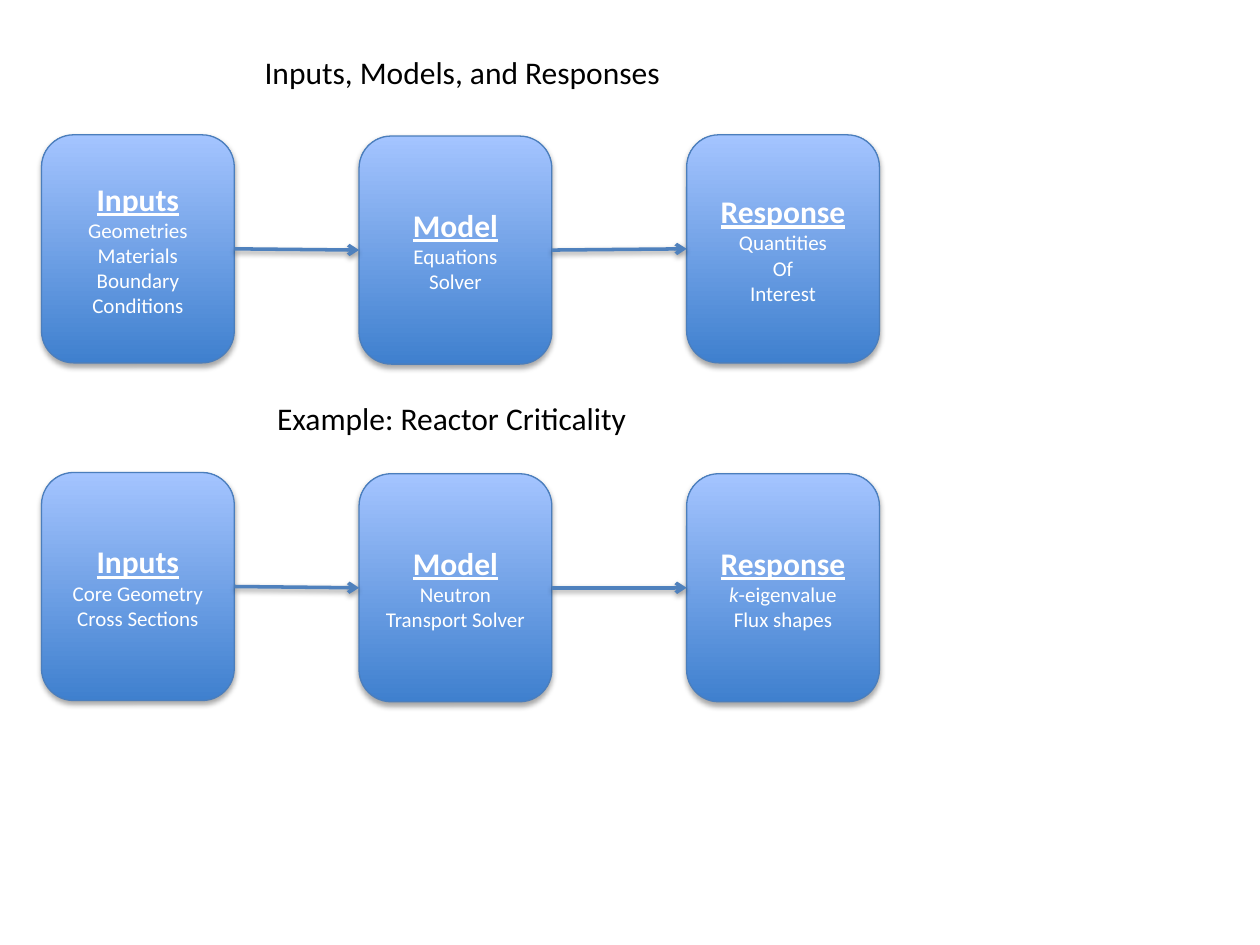
from lxml.etree import SubElement as Sub
from pptx import Presentation
from pptx.dml.color import RGBColor as RGB
from pptx.enum.shapes import MSO_CONNECTOR as Link, MSO_SHAPE as Form
from pptx.enum.text import MSO_ANCHOR as Anchor, MSO_AUTO_SIZE as Fit, PP_ALIGN as Align
from pptx.oxml.ns import qn
from pptx.util import Inches, Pt

WHITE = RGB(0xFF, 0xFF, 0xFF)
BLACK = RGB(0, 0, 0)
DEEP = RGB(0x3F, 0x80, 0xCE)
PALE = RGB(0xA4, 0xC4, 0xFF)
EDGE = RGB(0x4B, 0x7E, 0xBC)
ARROW = RGB(0x4F, 0x81, 0xBD)
FONT = "Calibri"
WIDE, HIGH = 1.53, 1.81
LEFTS = (0.33, 2.85, 5.45)

# Each flow: box tops, then a heading and its lines per box; a line is a list of (text, italic)
FLOWS = (
    ((1.07, 1.08, 1.07), (
        ("Inputs", "Geometries", "Materials", "Boundary Conditions"),
        ("Model", "Equations", "Solver"),
        ("Response", "Quantities", "Of", "Interest"))),
    ((3.75, 3.76, 3.76), (
        ("Inputs", "Core Geometry", "Cross Sections"),
        ("Model", "Neutron Transport Solver"),
        ("Response", [("k", True), ("-eigenvalue", False)], "Flux shapes"))),
)


def set_font(font, size, color):
    """Give a font its face, size and colour."""
    font.name, font.size = FONT, Pt(size)
    font.color.rgb = color


def add_shadow(item, dist, alpha):
    """Put a soft shadow below a shape or connector."""
    effects = Sub(item.element.spPr, qn("a:effectLst"))
    outer = Sub(effects, qn("a:outerShdw"), blurRad=str(Pt(3.15)),
                dist=str(Pt(dist)), dir="5400000", rotWithShape="0")
    black = Sub(outer, qn("a:srgbClr"), val="000000")
    Sub(black, qn("a:alpha"), val=str(alpha * 1000))


def add_box(slide, left, top, lines):
    """Draw a shaded rounded box with an underlined heading and its lines."""
    box = slide.shapes.add_shape(Form.ROUNDED_RECTANGLE, Inches(left), Inches(top),
                                 Inches(WIDE), Inches(HIGH))
    box.fill.gradient()
    box.fill.gradient_angle = 90
    for stop, color in zip(box.fill.gradient_stops, (DEEP, PALE)):
        stop.color.rgb = color
    box.line.color.rgb = EDGE
    box.line.width = Pt(0.75)
    add_shadow(box, 1.8, 35)
    frame = box.text_frame
    frame.word_wrap = True
    frame.vertical_anchor = Anchor.MIDDLE
    for row, line in enumerate(lines):
        para = frame.add_paragraph() if row else frame.paragraphs[0]
        para.alignment = Align.CENTER
        set_font(para.font, 12 if row else 18, WHITE)
        if not row:
            para.font.bold = para.font.underline = True
        for text, slant in [(line, False)] if isinstance(line, str) else line:
            run = para.add_run()
            run.text = text
            if slant:
                run.font.italic = True
    return box


def add_arrow(slide, start, end):
    """Join the right side of one box to the left side of the next."""
    arrow = slide.shapes.add_connector(Link.STRAIGHT, 0, 0, 0, 0)
    arrow.begin_connect(start, 3)
    arrow.end_connect(end, 1)
    arrow.line.color.rgb = ARROW
    arrow.line.width = Pt(2)
    Sub(arrow.line._get_or_add_ln(), qn("a:tailEnd"), type="arrow")
    add_shadow(arrow, 1.6, 38)


def set_label(shape, text, left, top, width):
    """Place and format a heading above a flow."""
    shape.left, shape.top = Inches(left), Inches(top)
    shape.width, shape.height = Inches(width), Inches(0.4)
    frame = shape.text_frame
    frame.text = text
    frame.word_wrap = False
    frame.auto_size = Fit.SHAPE_TO_FIT_TEXT
    frame.vertical_anchor = Anchor.TOP
    para = frame.paragraphs[0]
    para.alignment = Align.LEFT
    set_font(para.font, 18, BLACK)


def main():
    """Build the slide and save it."""
    deck = Presentation()
    deck.slide_width, deck.slide_height = Inches(10), Inches(7.5)
    slide = deck.slides.add_slide(deck.slide_layouts[5])
    set_label(slide.shapes.title, "Inputs, Models, and Responses", 2, 0.37, 3.38)
    for tops, texts in FLOWS:
        boxes = [add_box(slide, *spot) for spot in zip(LEFTS, tops, texts)]
        for start, end in zip(boxes, boxes[1:]):
            add_arrow(slide, start, end)
    label = slide.shapes.add_textbox(0, 0, 0, 0)
    set_label(label, "Example: Reactor Criticality", 2.1, 3.12, 3.01)
    deck.save("out.pptx")


main()
